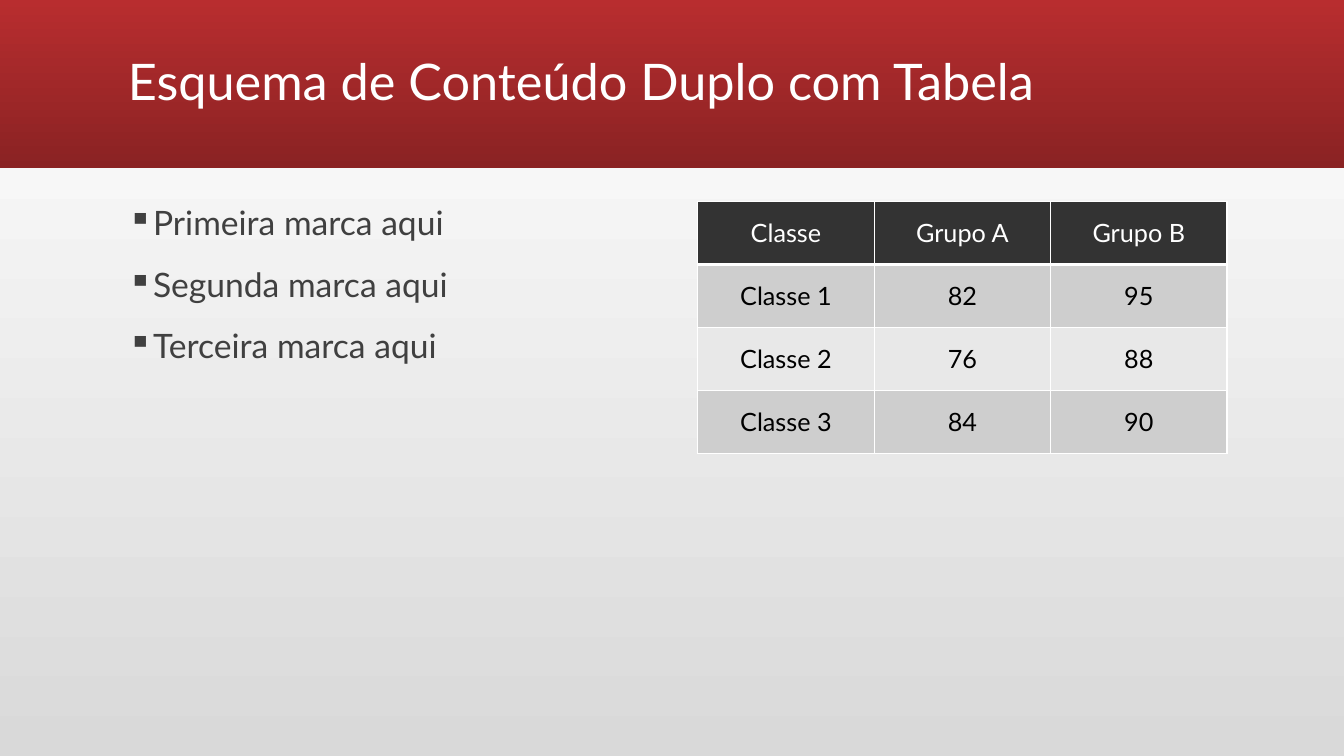
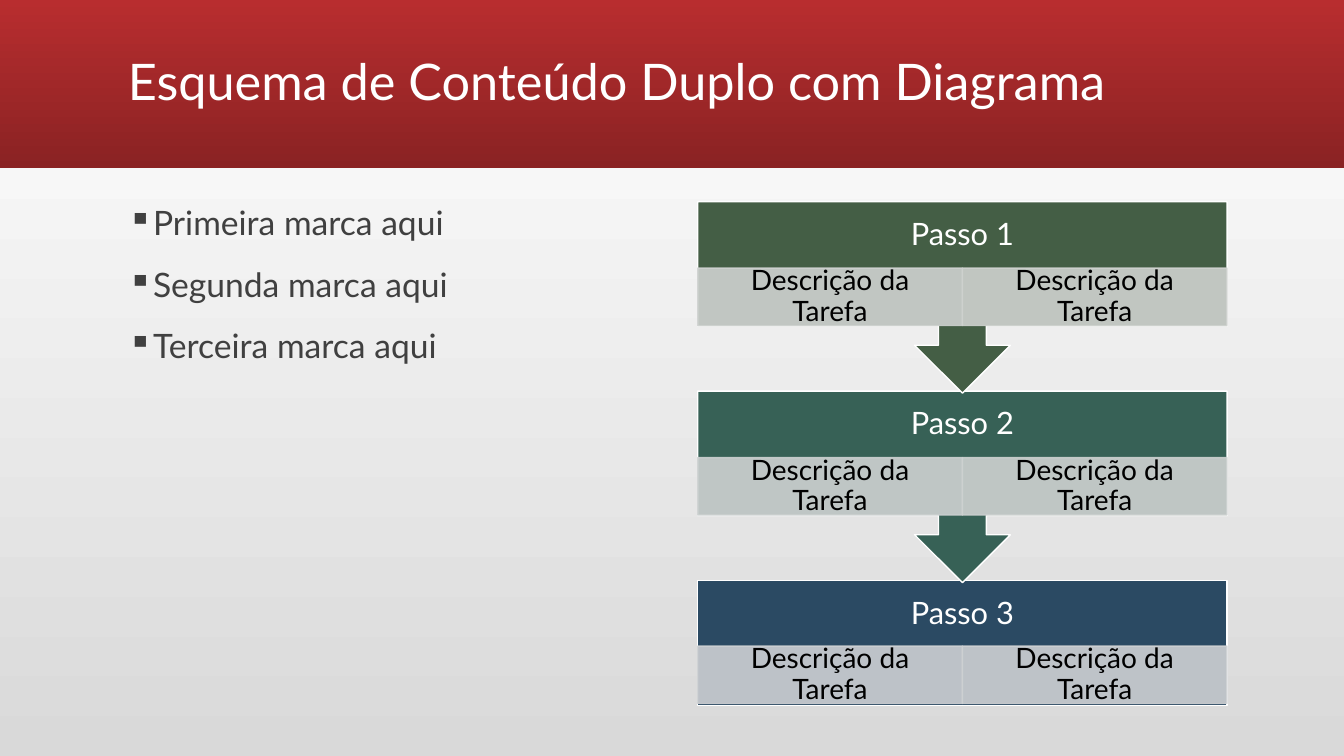
from lxml import etree
from pptx import Presentation
from pptx.dml.color import RGBColor
from pptx.enum.shapes import MSO_SHAPE
from pptx.enum.text import MSO_ANCHOR, PP_ALIGN
from pptx.oxml.ns import qn
from pptx.util import Inches, Pt

RECTANGLE = MSO_SHAPE.RECTANGLE
CALLOUT = MSO_SHAPE.UP_ARROW_CALLOUT
TOP, MIDDLE = MSO_ANCHOR.TOP, MSO_ANCHOR.MIDDLE
LEFT, CENTER = PP_ALIGN.LEFT, PP_ALIGN.CENTER

FONT = "Lato"
WHITE, BLACK, GREY = "FFFFFF", "000000", "404040"
BACKGROUND = ("D9D9D9", "FFFFFF")
BAND = ("B82D2F", "8A2223")
HEADER_FILL, ROW_FILLS = "333333", ("CECECE", "E8E8E8")

WIDTH, HEIGHT, BAND_HEIGHT = 13.33, 7.5, 1.67
TITLE_BOX = (1.17, 0.11, 11, 1.45)
BULLET_BOX = (1.17, 2, 5.25, 5)
CONTENT_BOX = (6.92, 2, 5.25, 5)

BULLETS = ["Primeira marca aqui", "Segunda marca aqui", "Terceira marca aqui"]
SCORES = [
    ("Classe", "Grupo A", "Grupo B"),
    ("Classe 1", "82", "95"),
    ("Classe 2", "76", "88"),
    ("Classe 3", "84", "90"),
]
STEPS = [
    ("Passo 1", "445E45", ("CFD2D0", "CFD2CF")),
    ("Passo 2", "376156", ("CED2D2", "CED2D1")),
    ("Passo 3", "2B4A63", ("CDD0D3", "CED1D3")),
]
TASK = "Descrição da Tarefa"


def color(value):
    return RGBColor.from_string(value)


def inches(box):
    return [Inches(length) for length in box]


def fill_gradient(fill, colors, angle):
    fill.gradient()
    fill.gradient_angle = angle
    for stop, value in zip(fill.gradient_stops, colors):
        stop.color.rgb = color(value)


def add_block(slide, kind, box, fill=None, line=None):
    block = slide.shapes.add_shape(kind, *inches(box))
    block.shadow.inherit = False
    if fill:
        block.fill.solid()
        block.fill.fore_color.rgb = color(fill)
    if line:
        block.line.color.rgb = color(line)
        block.line.width = Pt(1)
    else:
        block.line.fill.background()
    return block


def format_para(para, size, ink, align=LEFT, spacing=0.9):
    para.alignment = align
    para.line_spacing = spacing
    for span in para.runs:
        span.font.name = FONT
        span.font.size = Pt(size)
        span.font.bold = False
        span.font.color.rgb = color(ink)


def write(shape, text, size, ink, align=LEFT, anchor=MIDDLE, insets=(0.1, 0.05)):
    frame = shape.text_frame
    frame.word_wrap = True
    frame.vertical_anchor = anchor
    frame.margin_left = frame.margin_right = Inches(insets[0])
    frame.margin_top = frame.margin_bottom = Inches(insets[1])
    frame.text = text
    for para in frame.paragraphs:
        format_para(para, size, ink, align)
    return frame


def add_text(slide, box, *args, **options):
    return write(slide.shapes.add_textbox(*inches(box)), *args, **options)


def set_transparency(shape, opacity):
    for tint in shape._element.spPr.iter(qn("a:srgbClr")):
        etree.SubElement(tint, qn("a:alpha"), val=str(opacity * 1000))


def add_bullets(slide, box, items):
    frame = add_text(slide, box, "\n".join(items), 24, GREY, anchor=TOP)
    for para in frame.paragraphs:
        para.space_before = Pt(18)
        properties = para._p.get_or_add_pPr()
        properties.set("marL", str(Inches(0.25)))
        properties.set("indent", str(-Inches(0.25)))
        etree.SubElement(properties, qn("a:buChar"), char="▪")


def set_borders(cell, widths):
    properties = cell._tc.get_or_add_tcPr()
    for side, width in zip("LRTB", widths):
        line = etree.SubElement(properties, qn(f"a:ln{side}"), w=str(Pt(width)))
        solid = etree.SubElement(line, qn("a:solidFill"))
        etree.SubElement(solid, qn("a:srgbClr"), val=WHITE)


def add_scores(slide, box, rows):
    left, top, width, _ = box
    row_height = 0.625
    frame = slide.shapes.add_table(
        len(rows), len(rows[0]), *inches((left, top, width, row_height * len(rows))))
    for row, values in enumerate(rows):
        header = row == 0
        fill = HEADER_FILL if header else ROW_FILLS[(row - 1) % 2]
        for column, value in enumerate(values):
            cell = frame.table.cell(row, column)
            set_borders(cell, (1, 1, 3 if row == 1 else 1, 3 if header else 1))
            cell.fill.solid()
            cell.fill.fore_color.rgb = color(fill)
            cell.vertical_anchor = MIDDLE
            cell.text = value
            format_para(cell.text_frame.paragraphs[0], 18,
                        WHITE if header else BLACK, CENTER, 1.0)


def add_step(slide, box, step, last):
    left, top, width, _ = box
    name, fill, task_fills = step
    if last:
        add_block(slide, RECTANGLE, (left, top, width, 1.24), fill, WHITE)
    else:
        callout = add_block(slide, CALLOUT, (left, top, width, 1.9), fill, WHITE)
        callout.rotation = 180
    add_text(slide, (left, top, width, 0.67), name, 22, WHITE, CENTER,
             insets=(0.17, 0.17))
    task_top = top + (0.65 if last else 0.66)
    task_width = width / len(task_fills)
    for index, tint in enumerate(task_fills):
        task_box = (left + index * task_width, task_top, task_width, 0.57)
        task = add_block(slide, RECTANGLE, task_box, tint, tint)
        set_transparency(task, 90)
        write(task, TASK, 20, BLACK, CENTER, insets=(0.16, 0.03))


def add_process(slide, box, steps):
    left, top, width, height = box
    pitch = 1.88
    for index in reversed(range(len(steps))):
        add_step(slide, (left, top + index * pitch, width, height), steps[index],
                 index == len(steps) - 1)


def add_content_slide(deck, title, add_content, content):
    slide = deck.slides.add_slide(deck.slide_layouts[6])
    band = add_block(slide, RECTANGLE, (0, 0, WIDTH, BAND_HEIGHT))
    fill_gradient(band.fill, BAND, 270)
    add_text(slide, TITLE_BOX, title, 36, WHITE)
    add_bullets(slide, BULLET_BOX, BULLETS)
    add_content(slide, CONTENT_BOX, content)


def main():
    deck = Presentation()
    deck.slide_width, deck.slide_height = inches((WIDTH, HEIGHT))
    fill_gradient(deck.slide_master.background.fill, BACKGROUND, 90)
    add_content_slide(deck, "Esquema de Conteúdo Duplo com Tabela", add_scores, SCORES)
    add_content_slide(deck, "Esquema de Conteúdo Duplo com Diagrama", add_process, STEPS)
    deck.save("out.pptx")


if __name__ == "__main__":
    main()
